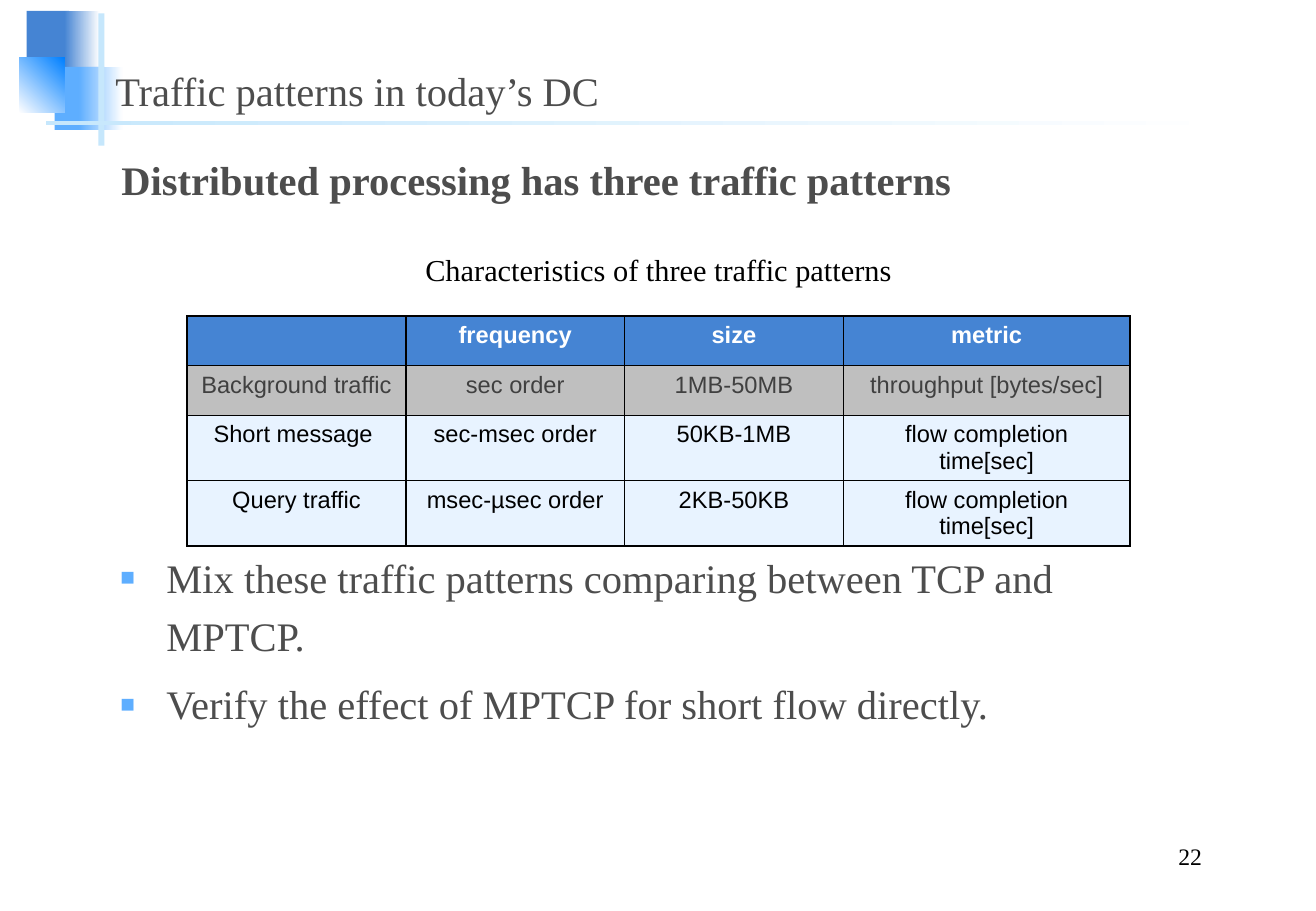
"""Build the slide on traffic patterns in today's data centres."""
from lxml import etree
from pptx import Presentation
from pptx.dml.color import RGBColor
from pptx.enum.shapes import MSO_SHAPE
from pptx.enum.text import MSO_ANCHOR, MSO_AUTO_SIZE, PP_ALIGN
from pptx.oxml.ns import qn
from pptx.util import Inches, Pt

RECT = MSO_SHAPE.RECTANGLE
TOP, BOTTOM = MSO_ANCHOR.TOP, MSO_ANCHOR.BOTTOM
LEFT, CENTER, RIGHT = PP_ALIGN.LEFT, PP_ALIGN.CENTER, PP_ALIGN.RIGHT
NO_FIT = MSO_AUTO_SIZE.NONE

COLORS = {
    "blue": "4584D3", "sky": "5EAEFF", "vivid": "0080FF", "pale": "C6E7FC",
    "white": "FFFFFF", "black": "000000", "text": "4D4D4D",
    "muted": "404040", "grey": "BFBFBF", "ice": "E8F3FF",
}
SERIF = "Times New Roman"
HEADING = {"name": SERIF, "size": Pt(24), "bold": False}


def rgb(name):
    return RGBColor.from_string(COLORS[name])


def write(p, text, font, color, align):
    p.alignment = align
    r = p.add_run()
    r.text = text
    for key, value in font.items():
        setattr(r.font, key, value)
    r.font.color.rgb = rgb(color)


prs = Presentation()
prs.slide_width, prs.slide_height = Inches(10.83), Inches(7.5)
s = prs.slides.add_slide(prs.slide_layouts[1])

decoration = [
    ((0.22, 0.09, 0.35, 0.52), ["blue"], 0),
    ((0.53, 0.09, 0.29, 0.52), ["blue", "white"], 0),
    ((0.45, 0.55, 0.41, 0.52), ["sky"], 0),
    ((0.65, 0.55, 0.36, 0.52), ["sky", "white"], 0),
    ((0.16, 0.47, 0.37, 0.46), ["white", "vivid"], 45),
    ((0.81, 0.11, 0.05, 1.09), ["pale"], 0),
    ((0.38, 1, 9.75, 0.03), ["pale", "white"], 0),
]
for i, (box, fills, angle) in enumerate(decoration):
    sp = s.shapes.add_shape(RECT, *map(Inches, box))
    sp.shadow.inherit = False
    sp.line.fill.background()
    if len(fills) == 1:
        sp.fill.solid()
        sp.fill.fore_color.rgb = rgb(fills[0])
    else:
        sp.fill.gradient()
        sp.fill.gradient_angle = angle
        for position, (stop, fill) in enumerate(zip(sp.fill.gradient_stops, fills)):
            stop.position = position
            stop.color.rgb = rgb(fill)
    s.shapes._spTree.remove(sp._element)
    s.shapes._spTree.insert(2 + i, sp._element)

title, body = s.shapes.title, s.placeholders[1]
for sp, box, anchor in [(title, (0.85, 0.36, 9.29, 0.63), BOTTOM),
                        (body, (0.89, 4.42, 9.06, 2.17), TOP)]:
    sp.left, sp.top, sp.width, sp.height = map(Inches, box)
    sp.text_frame.auto_size = NO_FIT
    sp.text_frame.word_wrap = True
    sp.text_frame.vertical_anchor = anchor
write(title.text_frame.paragraphs[0], "Traffic patterns in today’s DC", HEADING, "text", LEFT)

points = [
    "Mix these traffic patterns comparing between TCP and MPTCP.",
    "Verify the effect of MPTCP for short flow directly.",
]
tf = body.text_frame
for i, point in enumerate(points):
    p = tf.add_paragraph() if i else tf.paragraphs[0]
    pPr = p._p.get_or_add_pPr()
    pPr.set("marL", str(Inches(0.38)))
    pPr.set("indent", str(-Inches(0.38)))
    buClr = etree.SubElement(pPr, qn("a:buClr"))
    etree.SubElement(buClr, qn("a:srgbClr"), val=COLORS["sky"])
    etree.SubElement(pPr, qn("a:buSzPct"), val="60000")
    etree.SubElement(pPr, qn("a:buFont"), typeface="Arial")
    etree.SubElement(pPr, qn("a:buChar"), char="■")
    p.line_spacing = 1.2
    p.space_before = Pt(6 if i else 0)
    write(p, point, HEADING, "text", LEFT)

rows = [
    ["", "frequency", "size", "metric"],
    ["Background traffic", "sec order", "1MB-50MB", "throughput [bytes/sec]"],
    ["Short message ", "sec-msec order", "50KB-1MB", "flow completion time[sec]"],
    ["Query traffic", "msec-µsec order", "2KB-50KB", "flow completion time[sec]"],
]
row_colors = [("blue", "white"), ("grey", "muted"), ("ice", "black"), ("ice", "black")]
col_widths = [1.8, 1.8, 1.8, 2.36]
table = s.shapes.add_table(len(rows), len(col_widths), Inches(1.54), Inches(2.6),
                           Inches(sum(col_widths)), Inches(0.41 * len(rows))).table
for col, width in zip(table.columns, col_widths):
    col.width = Inches(width)
for i, (row, (fill, color)) in enumerate(zip(rows, row_colors)):
    table.rows[i].height = Inches(0.41)
    for j, text in enumerate(row):
        cell = table.cell(i, j)
        cell.margin_left = cell.margin_right = Inches(0.11)
        cell.margin_top = cell.margin_bottom = Inches(0.05)
        tcPr = cell._tc.get_or_add_tcPr()
        for side in ("lnL", "lnR", "lnT", "lnB"):
            ln = etree.SubElement(tcPr, qn(f"a:{side}"), w=str(Pt(1)))
            solid = etree.SubElement(ln, qn("a:solidFill"))
            etree.SubElement(solid, qn("a:srgbClr"), val=COLORS["black"])
        cell.fill.solid()
        cell.fill.fore_color.rgb = rgb(fill)
        if text:
            font = {"name": "Arial", "size": Pt(14), "bold": i == 0}
            write(cell.text_frame.paragraphs[0], text, font, color, CENTER)

labels = [
    ((7.73, 6.9, 2.26, 0.31), "22", 14, False, "black", RIGHT, BOTTOM, True),
    ((3.38, 2.02, 4.08, 0.4), "Characteristics of three traffic patterns",
     18, False, "black", CENTER, TOP, False),
    ((0.9, 1.23, 7.43, 0.5), "Distributed processing has three traffic patterns",
     24, True, "text", LEFT, TOP, True),
]
for box, text, size, bold, color, align, anchor, wrap in labels:
    tf = s.shapes.add_textbox(*map(Inches, box)).text_frame
    tf.word_wrap = wrap
    tf.vertical_anchor = anchor
    font = {"name": SERIF, "size": Pt(size), "bold": bold}
    write(tf.paragraphs[0], text, font, color, align)

prs.save("out.pptx")
